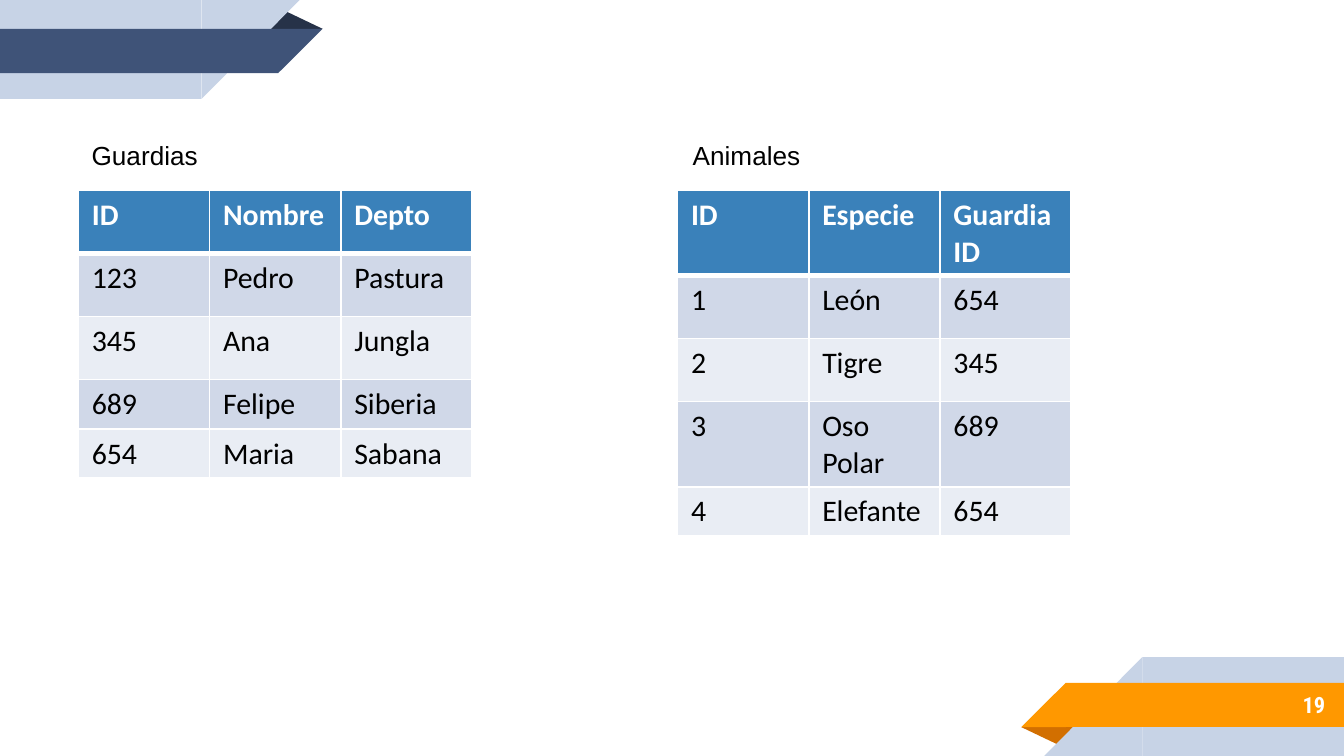
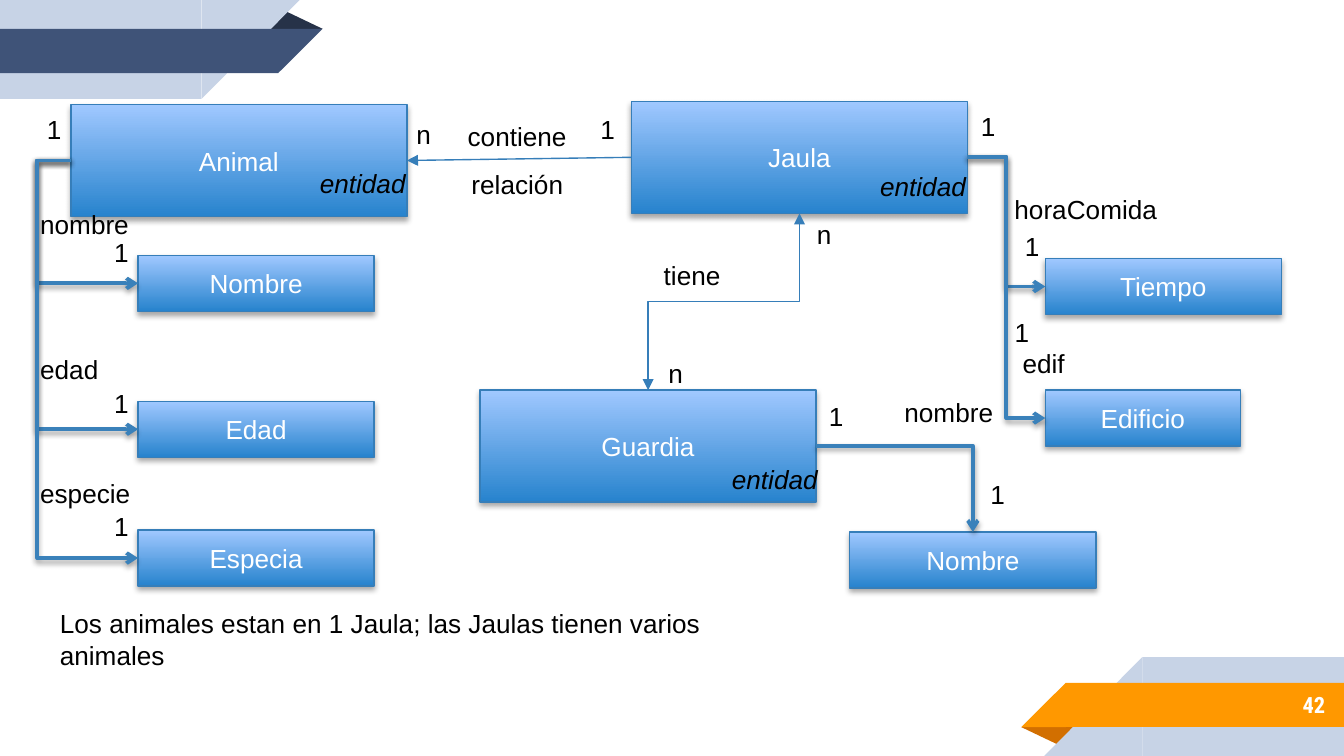
import pptx
import pptx.util
import pptx.dml.color
import pptx.enum.dml
import pptx.enum.shapes
import pptx.enum.text
import pptx.oxml.ns
import lxml.etree

Pt = pptx.util.Pt
KIND = pptx.enum.shapes.MSO_SHAPE
WIRE = pptx.enum.shapes.MSO_CONNECTOR
ALIGN = pptx.enum.text.PP_ALIGN
MID = pptx.enum.text.MSO_ANCHOR.MIDDLE
GROW = pptx.enum.text.MSO_AUTO_SIZE.SHAPE_TO_FIT_TEXT

WIDE, HIGH = 720, 405
INK, WHITE, PALE = "000000", "FFFFFF", "C7D3E6"
BLUE, EDGE = "3A81BA", "367EB9"
DEEP, LIGHT = "2783CD", "A0C8FF"
ROWS = ("D0D8E8", "E9EDF4")
SIDES = ("L", "R", "T", "B")

RIBBON = [
    (KIND.ISOSCELES_TRIANGLE, 547, 389.5, 31, 10, "fold"),
    (KIND.RECTANGLE, 612, 352, 108, 53, "back"),
    (KIND.RIGHT_TRIANGLE, 559.5, 352, 52.5, 53, "back"),
    (KIND.RECTANGLE, 571, 365.8, 149, 23.7, "band"),
    (KIND.RIGHT_TRIANGLE, 547.2, 365.8, 23.8, 23.7, "band"),
]
WARM = {"fold": "D26F00", "back": PALE, "band": "FF9800"}
COOL = {"fold": "263248", "back": PALE, "band": "3F5378"}

COL = 70.3
DEPTHS = (33.8, 33.8, 33.8, 19.5, 19.5)
TABLES = [
    ("Guardias", 42, 42, 72, [
        ("ID", "Nombre", "Depto"),
        ("123", "Pedro", "Pastura"),
        ("345", "Ana", "Jungla"),
        ("689", "Felipe", "Siberia"),
        ("654", "Maria", "Sabana"),
    ]),
    ("Animales", 363, 364, 73, [
        ("ID", "Especie", "Guardia ID"),
        ("1", "León", "654"),
        ("2", "Tigre", "345"),
        ("3", "Oso Polar", "689"),
        ("4", "Elefante", "654"),
    ]),
]

BOXES = {
    "animal": ("Animal", 38, 56, 180, 60),
    "jaula": ("Jaula", 338.3, 54.3, 180, 60),
    "guard": ("Guardia", 257.2, 209, 180, 60),
    "name": ("Nombre", 74, 136.8, 126.4, 30),
    "age": ("Edad", 74, 215, 126.4, 30),
    "kind": ("Especia", 74, 284, 126.4, 30),
    "time": ("Tiempo", 560, 138.5, 126.4, 30),
    "house": ("Edificio", 560, 209, 104.5, 30),
    "alias": ("Nombre", 455.2, 285, 132, 30),
}
FIELDS = [
    ("animal", "L", "name", "L", -50000),
    ("animal", "L", "age", "L", -50000),
    ("animal", "L", "kind", "L", -50000),
    ("jaula", "R", "time", "L", 50000),
    ("jaula", "R", "house", "L", 50000),
    ("guard", "R", "alias", "T", None),
]
ONES = [(54, 123), (54, 204), (54, 270), (18, 57), (542, 120), (518.4, 55.5),
        (536.5, 166), (523.5, 252.5), (437, 211), (314.5, 57)]
MANY = [(216, 60), (430.5, 113.5), (351, 188)]
WORDS = [
    ("nombre", 14.4, 108, 62), ("edad", 14.4, 186, 46),
    ("especie", 14.4, 252, 63), ("horaComida", 536.4, 100, 92),
    ("edif", 540.7, 182.3, 38), ("nombre", 477.4, 208.8, 62),
    ("contiene", 243.4, 61, 68), ("relación", 245.5, 86.4, 64),
    ("tiene", 348.5, 135.5, 46),
]
TAGS = [(164.2, 86, 65), (464.4, 87.8, 66), (385, 244.8, 101)]
NOTE = "Los animales estan en 1 Jaula; las Jaulas tienen varios animales"


def paint(code):
    return pptx.dml.color.RGBColor.from_string(code)


def node(up, tag, **attrs):
    return lxml.etree.SubElement(up, pptx.oxml.ns.qn("a:" + tag), attrs)


def shade(shape, glow=None):
    effects = node(shape._element.spPr, "effectLst")
    if glow:
        alpha, drop = glow
        cast = node(effects, "outerShdw", blurRad=str(Pt(3.1)),
                    dist=str(Pt(drop)), dir="5400000", rotWithShape="0")
        node(node(cast, "srgbClr", val=INK), "alpha", val=str(alpha * 1000))


def write(frame, text, color=INK, size=14, face="Arial",
          bold=False, slant=False, align=None):
    para = frame.paragraphs[0]
    para.alignment = align
    run = para.add_run()
    run.text = text
    font = run.font
    font.name, font.size = face, Pt(size)
    font.bold, font.italic = bold, slant
    font.color.rgb = paint(color)


def label(slide, text, x, y, w, h=24.3, wrap=False, **style):
    frame = slide.shapes.add_textbox(Pt(x), Pt(y), Pt(w), Pt(h)).text_frame
    frame.word_wrap = wrap
    frame.auto_size = GROW
    write(frame, text, **style)


def ribbon(slide, tones, turn):
    for kind, x, y, w, h, part in RIBBON:
        if turn:
            x, y = WIDE - x - w, HIGH - y - h
        shape = slide.shapes.add_shape(kind, Pt(x), Pt(y), Pt(w), Pt(h))
        shape.fill.solid()
        shape.fill.fore_color.rgb = paint(tones[part])
        shape.line.fill.background()
        shade(shape)
        if part == "fold":
            shape.adjustments[0] = 0.324
        else:
            shape._element.spPr.xfrm.set("flipH", "1")
        shape.rotation = 180 if turn != (part == "fold") else 0


def page(deck, number):
    slide = deck.slides.add_slide(deck.slide_layouts[6])
    ribbon(slide, WARM, False)
    ribbon(slide, COOL, True)
    frame = slide.shapes.add_textbox(Pt(600), Pt(365), Pt(117), Pt(25)).text_frame
    frame.word_wrap = True
    frame.vertical_anchor = MID
    frame.margin_top = frame.margin_bottom = Pt(7.2)
    write(frame, number, WHITE, 12, "Roboto Condensed", True, align=ALIGN.RIGHT)
    return slide


def border(cell, row):
    props = cell._tc.get_or_add_tcPr()
    for side in SIDES:
        thick = (row, side) in ((0, "B"), (1, "T"))
        line = node(props, "ln" + side, w=str(Pt(3 if thick else 1)))
        node(node(line, "solidFill"), "srgbClr", val=WHITE)


def grid(slide, x, rows):
    count = len(rows[0])
    table = slide.shapes.add_table(len(rows), count, Pt(x), Pt(102),
                                   Pt(COL * count), Pt(sum(DEPTHS))).table
    for col in table.columns:
        col.width = Pt(COL)
    for r, (row, depth) in enumerate(zip(rows, DEPTHS)):
        table.rows[r].height = Pt(depth)
        for c, text in enumerate(row):
            cell = table.cell(r, c)
            head = r == 0
            border(cell, r)
            cell.fill.solid()
            cell.fill.fore_color.rgb = paint(BLUE if head else ROWS[(r - 1) % 2])
            write(cell.text_frame, text, WHITE if head else INK, 16, "Calibri", head)


def block(slide, text, x, y, w, h):
    shape = slide.shapes.add_shape(KIND.RECTANGLE, Pt(x), Pt(y), Pt(w), Pt(h))
    shape.fill.gradient()
    shape.fill.gradient_angle = 90
    for stop, code in zip(shape.fill.gradient_stops, (DEEP, LIGHT)):
        stop.color.rgb = paint(code)
    shape.line.color.rgb = paint(EDGE)
    shape.line.width = Pt(0.75)
    shade(shape, (35, 1.8))
    shape.text_frame.word_wrap = True
    shape.text_frame.vertical_anchor = MID
    write(shape.text_frame, text, WHITE, align=ALIGN.CENTER)


def port(key, side):
    x, y, w, h = BOXES[key][1:]
    return {"L": (x, y + h / 2), "R": (x + w, y + h / 2),
            "T": (x + w / 2, y), "B": (x + w / 2, y + h)}[side]


def link(slide, kind, start, end, color, width, ends, glow=None):
    wire = slide.shapes.add_connector(kind, *map(Pt, start + end))
    wire.line.color.rgb = paint(color)
    wire.line.width = Pt(width)
    line = wire.line._get_or_add_ln()
    for tag, tip in ends:
        node(line, tag, type=tip)
    shade(wire, glow)
    return wire


def field(slide, first, out, last, into, bend):
    wire = link(slide, WIRE.ELBOW, port(first, out), port(last, into),
                BLUE, 2, [("tailEnd", "arrow")], (38, 1.6))
    shape = wire._element.spPr.prstGeom
    if bend is None:
        shape.set("prst", "bentConnector2")
    else:
        node(shape.get_or_add_avLst(), "gd", name="adj1", fmla=f"val {bend}")


def tie(slide, start, end):
    (ax, ay), (bx, by) = start, end
    mx, my = (ax + bx) / 2, (ay + by) / 2
    dx, dy = abs(bx - ax) / 2, abs(by - ay) / 2
    wire = link(slide, WIRE.ELBOW, (mx - dy, my - dx), (mx + dy, my + dx), EDGE, 0.75,
                [("headEnd", "triangle"), ("tailEnd", "triangle")])
    wire._element.spPr.xfrm.set("rot", "5400000")


def tables(deck):
    slide = page(deck, "19")
    for title, x, left, w, rows in TABLES:
        grid(slide, x, rows)
        label(slide, title, left, 71.3, w)


def model(deck):
    slide = page(deck, "42")
    label(slide, NOTE, 25, 322, 360, 41, wrap=True)
    for box in BOXES.values():
        block(slide, *box)
    for item in FIELDS:
        field(slide, *item)
    link(slide, WIRE.STRAIGHT, port("jaula", "L"), port("animal", "R"),
         EDGE, 0.75, [("tailEnd", "triangle")])
    tie(slide, port("jaula", "B"), port("guard", "T"))
    for text, spots in (("1", ONES), ("n", MANY)):
        for x, y in spots:
            label(slide, text, x, y, 23)
    for word in WORDS:
        label(slide, *word)
    for x, y, w in TAGS:
        label(slide, "entidad", x, y, w, wrap=True, slant=True)


def main():
    deck = pptx.Presentation()
    deck.slide_width, deck.slide_height = Pt(WIDE), Pt(HIGH)
    tables(deck)
    model(deck)
    deck.save("out.pptx")


if __name__ == "__main__":
    main()
